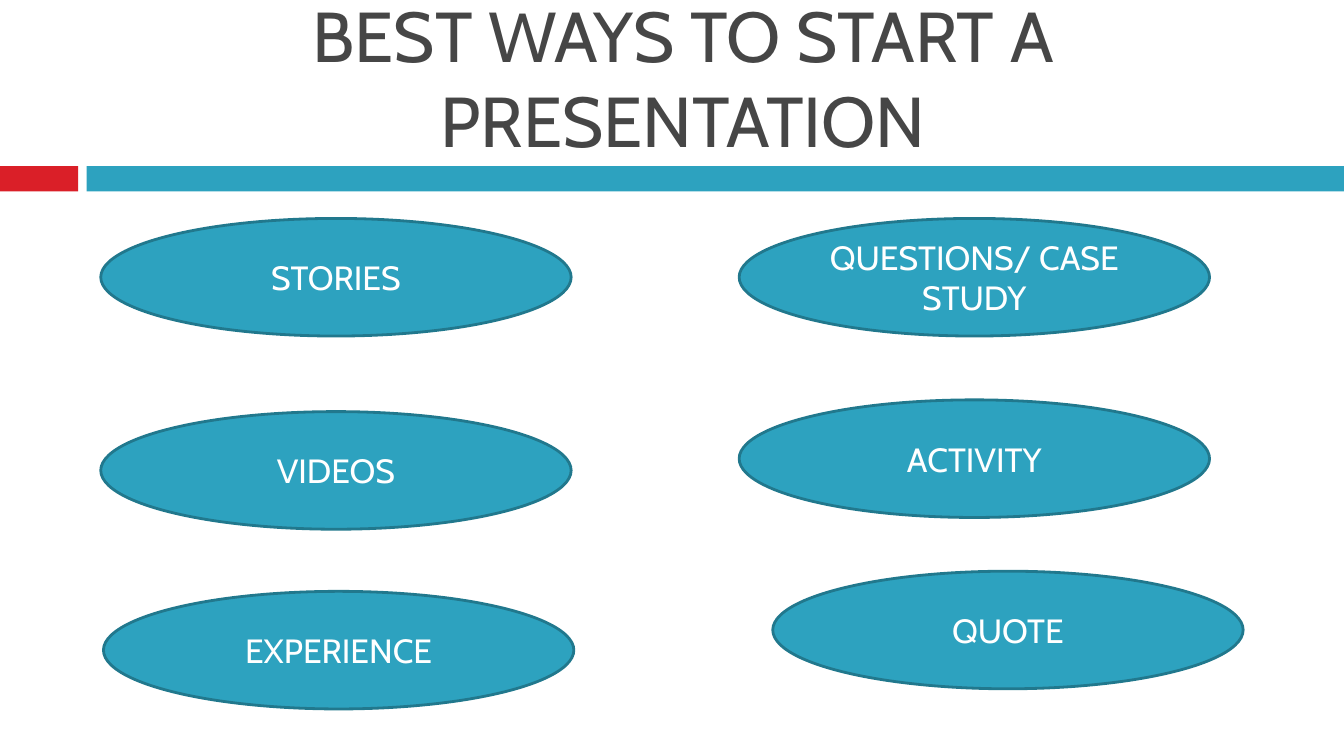
"""Build a slide naming six good ways to start a presentation."""
from pptx import Presentation
from pptx.dml.color import RGBColor
from pptx.enum.shapes import MSO_SHAPE
from pptx.enum.text import MSO_ANCHOR, PP_ALIGN
from pptx.util import Inches, Pt

RECTANGLE, OVAL = MSO_SHAPE.RECTANGLE, MSO_SHAPE.OVAL
MIDDLE, BOTTOM = MSO_ANCHOR.MIDDLE, MSO_ANCHOR.BOTTOM
CENTER = PP_ALIGN.CENTER
COLORS = {"red": "DA1F28", "teal": "2DA2BF", "outline": "21788D",
          "title": "464646", "label": "FFFFFF"}
FONT = "Cabin"

deck = Presentation()
deck.slide_width = Inches(10)
deck.slide_height = deck.slide_width * 9 // 16
page = deck.slides.add_slide(deck.slide_layouts[6])
COLUMN, ROW = deck.slide_width / 40, deck.slide_height / 45


def place(column, row, columns, rows):
    return [int(length) for length in
            (column * COLUMN, row * ROW, columns * COLUMN, rows * ROW)]


def write(box, text, size, color, anchor):
    frame = box.text_frame
    frame.word_wrap = True
    frame.vertical_anchor = anchor
    para = frame.paragraphs[0]
    para.text = text
    para.alignment = CENTER
    para.font.name = FONT
    para.font.size = Pt(size)
    para.font.color.rgb = RGBColor.from_string(COLORS[color])


for column, columns, color in ((0, 2.33, "red"), (2.58, 37.42, "teal")):
    bar = page.shapes.add_shape(RECTANGLE, *place(column, 9.9, columns, 1.5))
    bar.shadow.inherit = False
    bar.fill.solid()
    bar.fill.fore_color.rgb = RGBColor.from_string(COLORS[color])
    bar.line.fill.background()

title = page.shapes.add_textbox(*place(2.33, 2.5, 36, 7.5))
write(title, "BEST WAYS TO START A PRESENTATION", 37.8, "title", BOTTOM)

WAYS = (
    ("STORIES", 3, 13),
    ("VIDEOS", 3, 24.5),
    ("QUOTE", 23, 34),
    ("EXPERIENCE", 3.08, 35.2),
    ("ACTIVITY", 22, 23.8),
    ("QUESTIONS/ CASE STUDY", 22, 13),
)
for way, column, row in WAYS:
    oval = page.shapes.add_shape(OVAL, *place(column, row, 14, 7))
    oval.shadow.inherit = False
    oval.fill.solid()
    oval.fill.fore_color.rgb = RGBColor.from_string(COLORS["teal"])
    oval.line.color.rgb = RGBColor.from_string(COLORS["outline"])
    oval.line.width = Pt(1.5)
    write(oval, way, 18, "label", MIDDLE)

deck.save("out.pptx")
